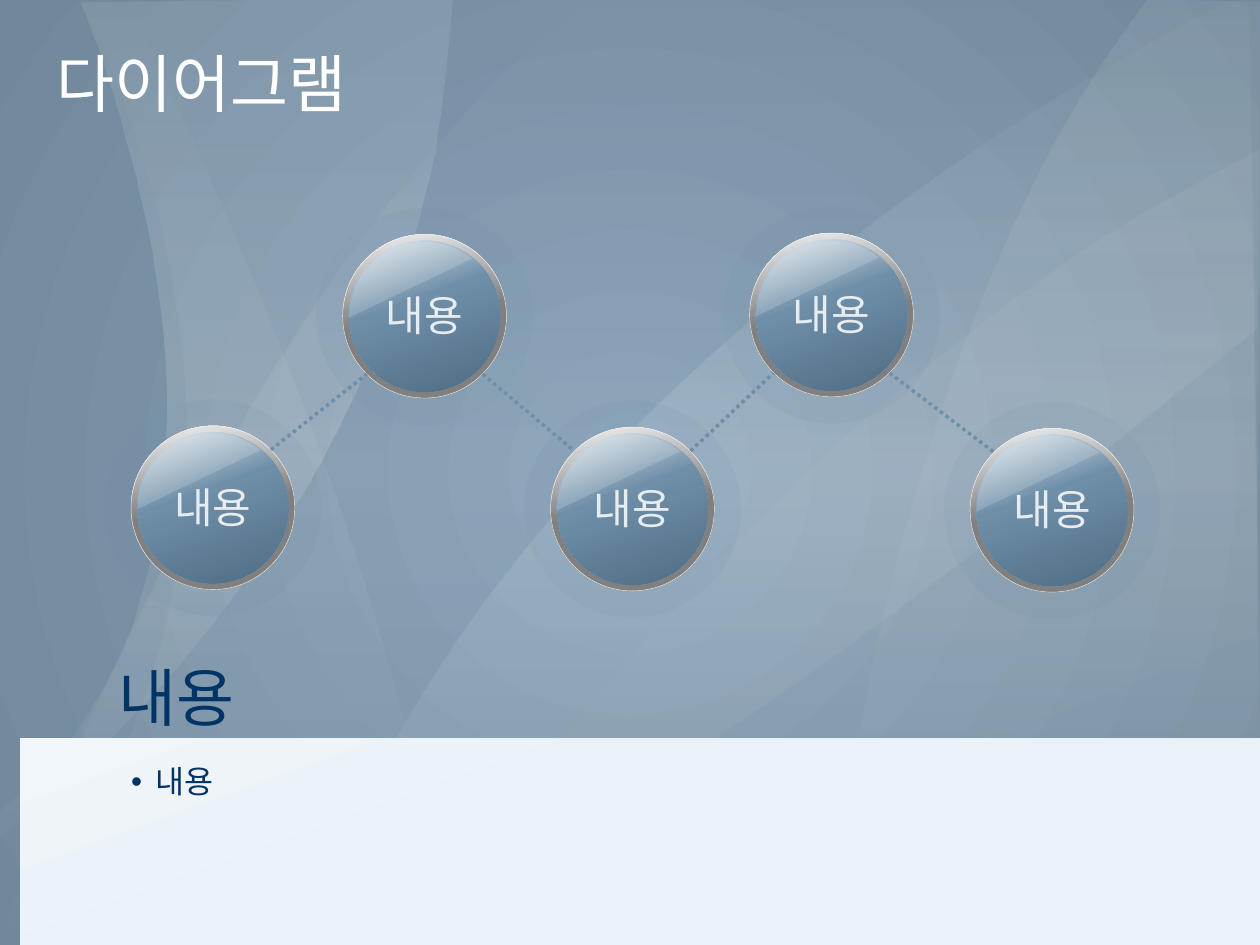
from dataclasses import dataclass
from itertools import pairwise

import pptx
import pptx.dml.color
import pptx.enum.dml
import pptx.enum.shapes
import pptx.enum.text
import pptx.oxml
import pptx.oxml.ns
import pptx.util
from lxml import etree

Inches, Pt = pptx.util.Inches, pptx.util.Pt
qn = pptx.oxml.ns.qn
Kind = pptx.enum.shapes.MSO_SHAPE
Align = pptx.enum.text.PP_ALIGN
Anchor = pptx.enum.text.MSO_ANCHOR
Point = tuple[float, float]
Stop = tuple[int, str, int]  # position %, colour, opacity %

COLORS = {
    "white": "FFFFFF", "navy": "003366", "label": "E6ECF0", "steel": "6F8FA9",
    "sheen": "E2E9EE", "rim": "F2F2F2", "rim_dark": "808080",
    "ball_light": "F1F4F6", "ball_dark": "4F6C83",
    "sky": "849FB5", "sky_edge": "71889B",
    "panel_a": "F1F6FA", "panel_b": "EAF1F7", "panel_c": "EBF2F7",
}


@dataclass
class Wave:
    edges: list[list[Point]]  # each edge is a smooth curve
    stops: list[tuple[int, int]]  # position %, opacity %


@dataclass
class Ball:
    x: float
    y: float
    text: str = "내용"


WAVES = [
    Wave([[(0, 7.44), (0.46, 6.29), (1.06, 4.98), (1.86, 3.46), (2.43, 2.53),
           (3.06, 1.64), (3.74, 0.85), (4.21, 0.39), (4.71, 0)],
          [(10, -0.03), (9.97, 2.61)],
          [(9.97, 2.61), (9.01, 3.38), (7.73, 4.38), (6.4, 5.36), (4.93, 6.36), (3.15, 7.46)],
          [(3.15, 7.46), (0.98, 7.47), (0, 7.44)]],
         [(0, 0), (50, 8), (100, 0)]),
    Wave([[(-0.4, 6.93), (0.2, 6.48), (0.99, 5.74), (1.62, 5.03), (2.25, 4.16),
           (2.74, 3.28), (3.15, 2.29), (3.45, 1.19), (3.59, -0.02)],
          [(0.64, 0.02), (0.86, 0.62), (1.13, 1.62), (1.28, 2.5), (1.32, 3.32),
           (1.25, 4.15), (1.04, 4.98), (0.72, 5.62), (0.31, 6.16), (-0.38, 6.72)]],
         [(0, 8), (50, 15), (100, 0)]),
    Wave([[(9.92, -0.08), (8.96, 0.44), (7.94, 1.06), (6.89, 1.8), (5.94, 2.56),
           (5, 3.43), (4.26, 4.25), (3.59, 5.14), (3.02, 6.09), (2.67, 6.9), (2.52, 7.48)],
          [(10.03, 7.42)]],
         [(0, 1), (50, 14), (100, 0)]),
    Wave([[(1.02, 0), (1.58, 1.22), (2.12, 2.49), (2.57, 3.67), (2.98, 4.91),
           (3.26, 5.96), (3.41, 6.8), (3.45, 7.42)],
          [(0, 7.5), (0.41, 7), (0.82, 6.3), (1.18, 5.43), (1.4, 4.49), (1.48, 3.4),
           (1.41, 2.52), (1.22, 1.57), (0.96, 0.76), (0.69, 0.12)]],
         [(0, 0), (50, 5), (100, 0)]),
    Wave([[(6.6, 7.46), (6.68, 6.7), (6.86, 5.61), (7.1, 4.52), (7.45, 3.32),
           (7.85, 2.23), (8.28, 1.3), (8.71, 0.56), (9.1, 0)],
          [(10.01, 0.02), (10.05, 7.5)]],
         [(10, 7), (100, 0)]),
    Wave([[(9.95, 5.03), (8.6, 5.57), (7.38, 5.99), (5.56, 6.51)],
          [(5.56, 6.51), (4.82, 6.78), (4.26, 7.05), (3.84, 7.36)],
          [(3.28, 7.5), (3.88, 6.62), (4.69, 5.57), (5.57, 4.58), (6.49, 3.66),
           (7.54, 2.76), (8.71, 1.91), (10, 1.18)]],
         [(0, 6), (100, 0)]),
]
BALLS = [Ball(1.69, 4.03), Ball(3.37, 2.51), Ball(5.02, 4.04), Ball(6.6, 2.5), Ball(8.35, 4.05)]


def rgb(name: str) -> pptx.dml.color.RGBColor:
    return pptx.dml.color.RGBColor.from_string(COLORS[name])


def smooth(edge: list[Point], steps: int = 5) -> list[Point]:
    """Points along a Catmull-Rom curve through the edge."""
    padded = [edge[0], *edge, edge[-1]]
    curve = []
    for a, b, c, d in zip(padded, padded[1:], padded[2:], padded[3:]):
        for t in (step / steps for step in range(steps)):
            curve.append(tuple(
                0.5 * (2 * q + (r - p) * t + (2 * p - 5 * q + 4 * r - s) * t**2
                       + (3 * q - p - 3 * r + s) * t**3)
                for p, q, r, s in zip(a, b, c, d)))
    return curve + [edge[-1]]


# Fills
def add_alpha(color_element, percent: int) -> None:
    etree.SubElement(color_element, qn("a:alpha")).set("val", str(percent * 1000))


def paint_gradient(fill, holder, stops: list[Stop], angle: int | None) -> None:
    """Linear gradient at an angle, or a centred circle when angle is None."""
    fill.background()
    gradient = pptx.oxml.parse_xml(f'<a:gradFill {pptx.oxml.ns.nsdecls("a")} rotWithShape="1"/>')
    stop_list = etree.SubElement(gradient, qn("a:gsLst"))
    for position, color, opacity in stops:
        stop = etree.SubElement(stop_list, qn("a:gs"), pos=str(position * 1000))
        color_element = etree.SubElement(stop, qn("a:srgbClr"), val=COLORS[color])
        if opacity < 100:
            add_alpha(color_element, opacity)
    if angle is None:
        circle = etree.SubElement(gradient, qn("a:path"), path="circle")
        etree.SubElement(circle, qn("a:fillToRect"), l="50000", t="50000", r="50000", b="50000")
    else:
        etree.SubElement(gradient, qn("a:lin"), ang=str(angle * 60000), scaled="0")
    holder.replace(holder.find(qn("a:noFill")), gradient)


def paint_shape(shape, stops: list[Stop], angle: int) -> None:
    shape.shadow.inherit = False
    shape.line.fill.background()
    paint_gradient(shape.fill, shape.element.spPr, stops, angle)


def paint_tint(shape, color: str, opacity: int) -> None:
    shape.shadow.inherit = False
    shape.line.fill.background()
    shape.fill.solid()
    shape.fill.fore_color.rgb = rgb(color)
    add_alpha(shape.element.spPr.find(f".//{qn('a:srgbClr')}"), opacity)


# Parts of the page
def place(box, left: float, top: float, width: float, height: float) -> None:
    box.left, box.top, box.width, box.height = map(Inches, (left, top, width, height))


def write(box, text: str, size: int, font: str, color: str, align=Align.LEFT, anchor=Anchor.TOP):
    frame = box.text_frame
    frame.word_wrap = True
    frame.auto_size = pptx.enum.text.MSO_AUTO_SIZE.NONE
    frame.vertical_anchor = anchor
    para = frame.paragraphs[0]
    para.alignment = align
    para.space_before = Pt(0)
    span = para.add_run()
    span.text = text
    span.font.size, span.font.name = Pt(size), font
    span.font.color.rgb = rgb(color)
    return para


def draw_wave(page, wave: Wave):
    points = [(Inches(x), Inches(y)) for edge in wave.edges for x, y in smooth(edge)]
    builder = page.shapes.build_freeform(*points[0])
    builder.add_line_segments(points[1:], close=True)
    shape = builder.convert_to_shape()
    paint_shape(shape, [(position, "white", opacity) for position, opacity in wave.stops], 90)
    return shape


def draw_ball(page, ball: Ball) -> None:
    group = page.shapes.add_group_shape()

    def disc(kind, size: float, drop: float = 0):
        return group.shapes.add_shape(kind, Inches(ball.x - size / 2),
                                      Inches(ball.y - size / 2 + drop), Inches(size), Inches(size))

    paint_tint(disc(Kind.OVAL, 1.72), "steel", 10)
    rim = disc(Kind.OVAL, 1.3)
    paint_shape(rim, [(0, "rim", 100), (50, "rim_dark", 100), (100, "rim_dark", 100)], 80)
    rim.line.color.rgb = rgb("rim")
    rim.line.width = Pt(0.25)
    paint_shape(disc(Kind.OVAL, 1.2),
                [(0, "ball_light", 100), (40, "steel", 100), (100, "ball_dark", 100)], 70)
    sheen = disc(Kind.CHORD, 1.2, 0.01)
    sheen.rotation = 90
    sheen.adjustments[0], sheen.adjustments[1] = 53.95, 131.3
    paint_tint(sheen, "sheen", 20)
    label = page.shapes.add_textbox(Inches(ball.x - 0.58), Inches(ball.y - 0.26),
                                    Inches(1.16), Inches(0.5))
    write(label, ball.text, 24, "Arial", "label", Align.CENTER)


def draw_link(page, start: Ball, end: Ball) -> None:
    reach = 0.46  # rim radius seen at 45 degrees
    rise = reach if end.y > start.y else -reach
    link = page.shapes.add_connector(
        pptx.enum.shapes.MSO_CONNECTOR.STRAIGHT, Inches(start.x + reach), Inches(start.y + rise),
        Inches(end.x - reach), Inches(end.y - rise))
    link.line.color.rgb = rgb("steel")
    link.line.width = Pt(2)
    link.line.dash_style = pptx.enum.dml.MSO_LINE.ROUND_DOT
    etree.SubElement(link.element.spPr, qn("a:effectLst"))


def main() -> None:
    deck = pptx.Presentation()
    deck.slide_width, deck.slide_height = Inches(10), Inches(7.5)
    page = deck.slides.add_slide(deck.slide_layouts[1])
    title, body = page.placeholders

    # Background, waves and panel, all behind the placeholders
    background = page.background.fill
    background.solid()
    paint_gradient(background, page.element.find(f".//{qn('p:bgPr')}"),
                   [(0, "sky", 100), (100, "sky_edge", 100)], None)
    backdrop = [draw_wave(page, wave) for wave in WAVES]
    panel = page.shapes.add_shape(Kind.RECTANGLE, Inches(0.16), Inches(5.86),
                                  Inches(9.84), Inches(1.64))
    paint_shape(panel, [(0, "panel_a", 100), (40, "panel_b", 100), (100, "panel_c", 100)], 70)
    for shape in [*backdrop, panel]:
        title.element.addprevious(shape.element)

    # Title
    place(title, 0.35, 0.14, 9.27, 1.03)
    write(title, "다이어그램", 36, "Roboto", "white", anchor=Anchor.MIDDLE)

    # Diagram
    for ball in BALLS:
        draw_ball(page, ball)
    for start, end in pairwise(BALLS):
        draw_link(page, start, end)

    # Heading and list
    place(body, 0.94, 6, 7.96, 1.3)
    item = write(body, "내용", 18, "Arial", "navy")
    properties = item._p.get_or_add_pPr()
    properties.set("marL", str(Inches(0.19)))
    properties.set("indent", str(Inches(-0.19)))
    etree.SubElement(properties, qn("a:buChar"), char="•")
    heading = page.shapes.add_textbox(Inches(0.94), Inches(5.23), Inches(8.12), Inches(0.6))
    frame = heading.text_frame
    frame.margin_left = frame.margin_right = frame.margin_top = frame.margin_bottom = 0
    write(heading, "내용", 36, "Arial", "navy", anchor=Anchor.BOTTOM)

    deck.save("out.pptx")


if __name__ == "__main__":
    main()
